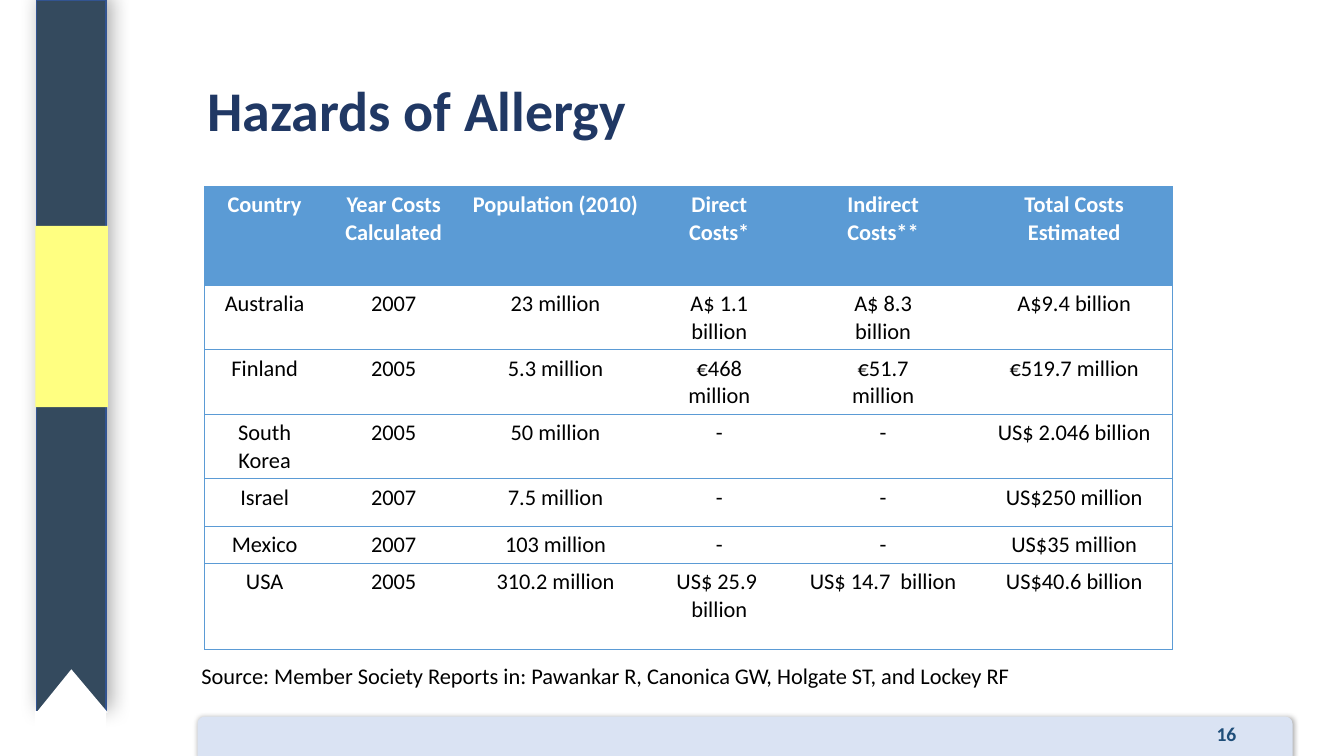
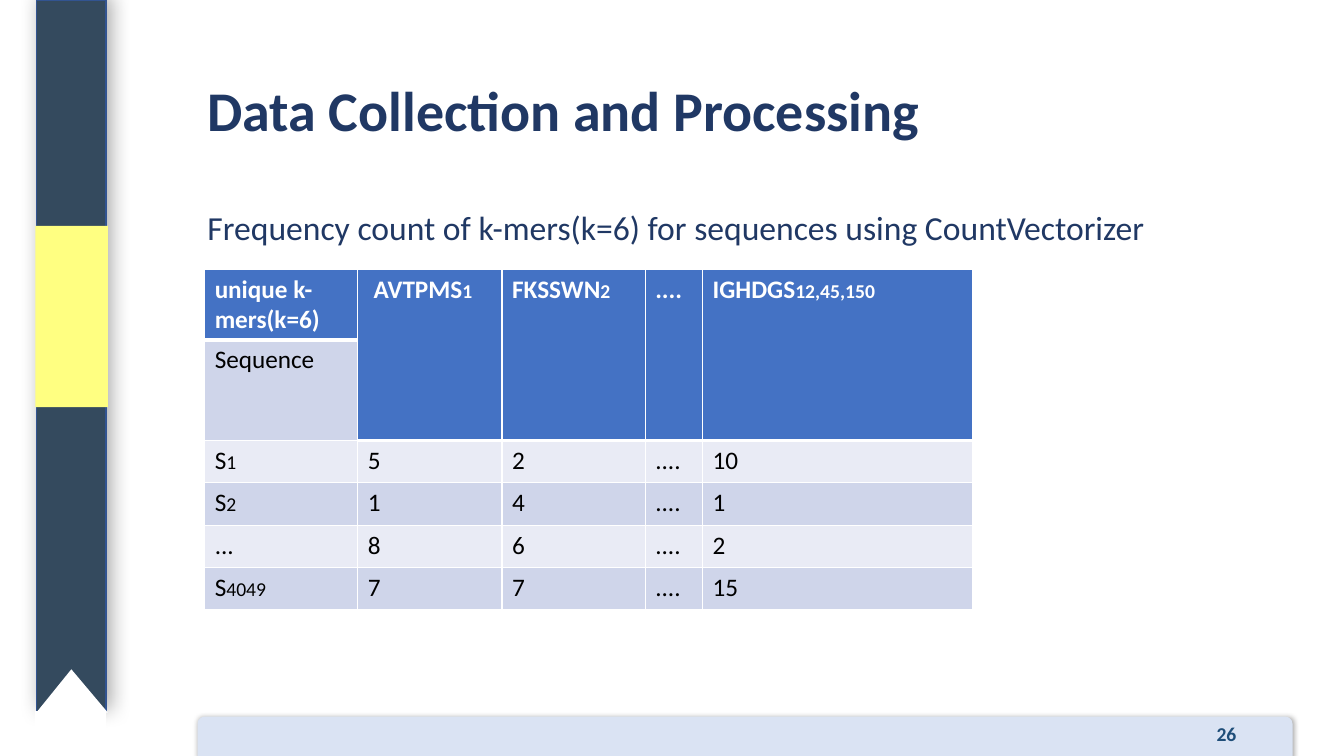
from dataclasses import dataclass

from lxml.etree import SubElement
from pptx import Presentation
from pptx.dml.color import RGBColor
from pptx.enum.shapes import MSO_SHAPE
from pptx.enum.text import MSO_ANCHOR, PP_ALIGN
from pptx.oxml.ns import qn
from pptx.util import Inches, Pt


@dataclass(frozen=True)
class Theme:
    font: str = "Calibri"
    ribbon: str = "344A5E"
    ribbon_edge: str = "325491"
    marker: str = "FFFF81"
    footer: str = "DAE3F3"
    heading: str = "203864"
    number: str = "1F4E79"
    paper: str = "FFFFFF"
    ink: str = "000000"
    cost_blue: str = "5B9BD5"
    count_blue: str = "4472C4"
    bands: tuple = ("CFD5EA", "E9EBF5")
    title_size: int = 40
    lead_size: int = 24
    count_size: int = 18
    cost_size: int = 16
    small_size: int = 14


THEME = Theme()
WIDTH, HEIGHT = 13.33, 7.5
TEXT_LEFT, TEXT_WIDTH = 1.96, 10.84
TABLE_LEFT = 2.03
NO_STYLE = "{2D5ABB26-0587-4C30-8999-92F81FD0307C}"

COSTS = {
    "title": "Hazards of Allergy",
    "number": "16",
    "columns": [1.19, 1.37, 1.84, 1.41, 1.84, 1.95],
    "heights": [0.98, 0.64, 0.64, 0.64, 0.47, 0.37, 0.85],
    "rows": [
        ["Country", "Year Costs\nCalculated", "Population (2010)",
         "Direct\nCosts*", "Indirect\nCosts**", "Total Costs\nEstimated"],
        ["Australia", "2007", "23 million", "A$ 1.1\nbillion", "A$ 8.3\nbillion", "A$9.4 billion"],
        ["Finland", "2005", "5.3 million", "€468\nmillion", "€51.7\nmillion", "€519.7 million"],
        ["South Korea", "2005", "50 million", "-", "-", "US$ 2.046 billion"],
        ["Israel", "2007", "7.5 million", "-", "-", "US$250 million"],
        ["Mexico", "2007", "103 million", "-", "-", "US$35 million"],
        ["USA", "2005", "310.2 million", "US$ 25.9  billion", "US$ 14.7  billion", "US$40.6 billion"],
    ],
    "source": "Source: Member Society Reports in: Pawankar R, Canonica GW, Holgate ST, and Lockey RF",
}

# A tuple is a label followed by its small index.
COUNTS = {
    "title": "Data Collection and Processing",
    "number": "26",
    "lead": "Frequency count of k-mers(k=6) for sequences using CountVectorizer",
    "columns": [1.52, 1.43, 1.42, 0.57, 2.68],
    "heights": [0.7, 1.0, 0.42, 0.42, 0.42, 0.42],
    "rows": [
        ["unique k-mers(k=6)", (" AVTPMS", "1"), ("FKSSWN", "2"), "....", ("IGHDGS", "12,45,150")],
        ["Sequence"],
        [("S", "1"), "5", "2", "....", "10"],
        [("S", "2"), "1", "4", "....", "1"],
        ["...", "8", "6", "....", "2"],
        [("S", "4049"), "7", "7", "....", "15"],
    ],
}


def rgb(color):
    return RGBColor.from_string(color)


def style_run(run, size, color, bold=False):
    run.font.name = THEME.font
    run.font.size = Pt(size)
    run.font.bold = bold
    run.font.color.rgb = rgb(color)


def add_line_xml(parent, tag, color, points, index):
    """Insert a solid outline or cell border at its place in the parent."""
    line = SubElement(parent, qn(tag), w=str(Pt(points)))
    SubElement(SubElement(line, qn("a:solidFill")), qn("a:srgbClr"), val=color)
    parent.insert(index, line)


def add_shadow(shape, opacity, blur, distance, angle):
    effects = shape._element.spPr.find(qn("a:effectLst"))
    shadow = SubElement(effects, qn("a:outerShdw"), blurRad=str(Pt(blur)), dist=str(Pt(distance)),
                        dir=str(angle * 60000), algn="ctr", rotWithShape="0")
    color = SubElement(shadow, qn("a:srgbClr"), val=THEME.ink)
    SubElement(color, qn("a:alpha"), val=str(opacity * 1000))


def add_block(slide, preset, box, fill, edge=None):
    block = slide.shapes.add_shape(preset, *map(Inches, box))
    block.shadow.inherit = False
    block.fill.solid()
    block.fill.fore_color.rgb = rgb(fill)
    if edge:
        block.line.color.rgb = rgb(edge)
        block.line.width = Pt(1)
    else:
        block.line.fill.background()
    return block


def add_text(slide, box, text, size, color, bold=False, align=PP_ALIGN.LEFT, anchor=MSO_ANCHOR.TOP):
    frame = slide.shapes.add_textbox(*map(Inches, box)).text_frame
    frame.word_wrap = True
    frame.vertical_anchor = anchor
    frame.text = text
    paragraph = frame.paragraphs[0]
    paragraph.alignment = align
    style_run(paragraph.runs[0], size, color, bold)
    return frame


def add_framed_slide(deck, content):
    """Add a slide with the ribbon, footer, title and number."""
    slide = deck.slides.add_slide(deck.slide_layouts[6])
    ribbon = add_block(slide, MSO_SHAPE.RECTANGLE, (0.36, 0, 0.69, 7.06), THEME.ribbon, THEME.ribbon_edge)
    add_shadow(ribbon, opacity=33, blur=14, distance=4, angle=315)
    notch = add_block(slide, MSO_SHAPE.ISOSCELES_TRIANGLE, (0.36, 6.64, 0.71, 0.43), THEME.paper)
    notch.adjustments[0] = 0.49
    add_block(slide, MSO_SHAPE.RECTANGLE, (0.35, 7.06, 0.7, 0.43), THEME.paper, THEME.paper)
    add_block(slide, MSO_SHAPE.RECTANGLE, (0.35, 2.24, 0.72, 1.8), THEME.marker)
    footer = add_block(slide, MSO_SHAPE.ROUND_2_SAME_RECTANGLE, (TEXT_LEFT, 7.11, 10.86, 0.41), THEME.footer)
    add_shadow(footer, opacity=35, blur=4, distance=0, angle=0)
    title = add_text(slide, (TEXT_LEFT, 0.4, TEXT_WIDTH, 1.45), content["title"], THEME.title_size,
                     THEME.heading, bold=True, anchor=MSO_ANCHOR.MIDDLE).paragraphs[0]
    title.line_spacing = 0.9
    add_line_xml(title.runs[0].font._element, "a:ln", THEME.heading, 0.75, 0)
    add_text(slide, (11.5, 7.11, 1.33, 0.39), content["number"], THEME.small_size,
             THEME.number, bold=True, align=PP_ALIGN.CENTER)
    return slide


def add_grid(slide, content, top):
    columns, heights = content["columns"], content["heights"]
    table = slide.shapes.add_table(len(heights), len(columns), Inches(TABLE_LEFT), Inches(top),
                                   Inches(sum(columns)), Inches(sum(heights))).table
    table._tbl.tblPr.find(qn("a:tableStyleId")).text = NO_STYLE
    table.horz_banding = False
    for column, width in zip(table.columns, columns):
        column.width = Inches(width)
    for row, height in zip(table.rows, heights):
        row.height = Inches(height)
    return table


def fill_cell(cell, entry, size, color, bold, align=PP_ALIGN.LEFT):
    label, index = entry if isinstance(entry, tuple) else (entry, "")
    cell.text_frame.text = label
    for paragraph in cell.text_frame.paragraphs:
        paragraph.alignment = align
        style_run(paragraph.runs[0], size, color, bold)
    if index:
        small = cell.text_frame.paragraphs[0].add_run()
        small.text = index
        style_run(small, THEME.small_size, color, bold)


def paint_cell(cell, fill, color, borders):
    """Fill a cell and draw borders, given as side: width in L, R, T, B order."""
    if fill:
        cell.fill.solid()
        cell.fill.fore_color.rgb = rgb(fill)
    else:
        cell.fill.background()
    properties = cell._tc.get_or_add_tcPr()
    for index, (side, points) in enumerate(borders.items()):
        add_line_xml(properties, f"a:ln{side}", color, points, index)


def build_costs(deck):
    slide = add_framed_slide(deck, COSTS)
    table = add_grid(slide, COSTS, top=1.85)
    last = len(COSTS["columns"]) - 1
    for r, row in enumerate(COSTS["rows"]):
        header = r == 0
        for c, entry in enumerate(row):
            cell = table.cell(r, c)
            cell.margin_left = cell.margin_right = Inches(0.08)
            fill_cell(cell, entry, THEME.cost_size, THEME.paper if header else THEME.ink,
                      header, PP_ALIGN.CENTER)
            sides = ("L" if c == 0 else "") + ("R" if c == last else "") + "TB"
            paint_cell(cell, THEME.cost_blue if header else None, THEME.cost_blue,
                       dict.fromkeys(sides, 0.5))
    add_text(slide, (1.9, 6.52, 9.6, 0.37), COSTS["source"], THEME.cost_size, THEME.ink)


def build_counts(deck):
    slide = add_framed_slide(deck, COUNTS)
    lead = add_text(slide, (TEXT_LEFT, 2, TEXT_WIDTH, 0.56), COUNTS["lead"], THEME.lead_size, THEME.heading)
    lead.margin_top = lead.margin_bottom = Inches(0.1)
    lead.paragraphs[0].line_spacing = 0.9
    table = add_grid(slide, COUNTS, top=2.67)
    for c in range(1, len(COUNTS["columns"])):
        table.cell(0, c).merge(table.cell(1, c))
    for r, row in enumerate(COUNTS["rows"]):
        for c in range(len(COUNTS["columns"])):
            cell = table.cell(r, c)
            header = r == 0 or (r == 1 and c > 0)
            if c < len(row):
                fill_cell(cell, row[c], THEME.count_size, THEME.paper if header else THEME.ink, header)
            borders = {"L": 1, "R": 1}
            if r == 0:
                borders["T"] = 1
            borders["B"] = 3 if header else 1
            fill = THEME.count_blue if header else THEME.bands[(r + 1) % 2]
            paint_cell(cell, fill, THEME.paper, borders)


def main():
    deck = Presentation()
    deck.slide_width, deck.slide_height = Inches(WIDTH), Inches(HEIGHT)
    build_costs(deck)
    build_counts(deck)
    deck.save("out.pptx")


if __name__ == "__main__":
    main()
